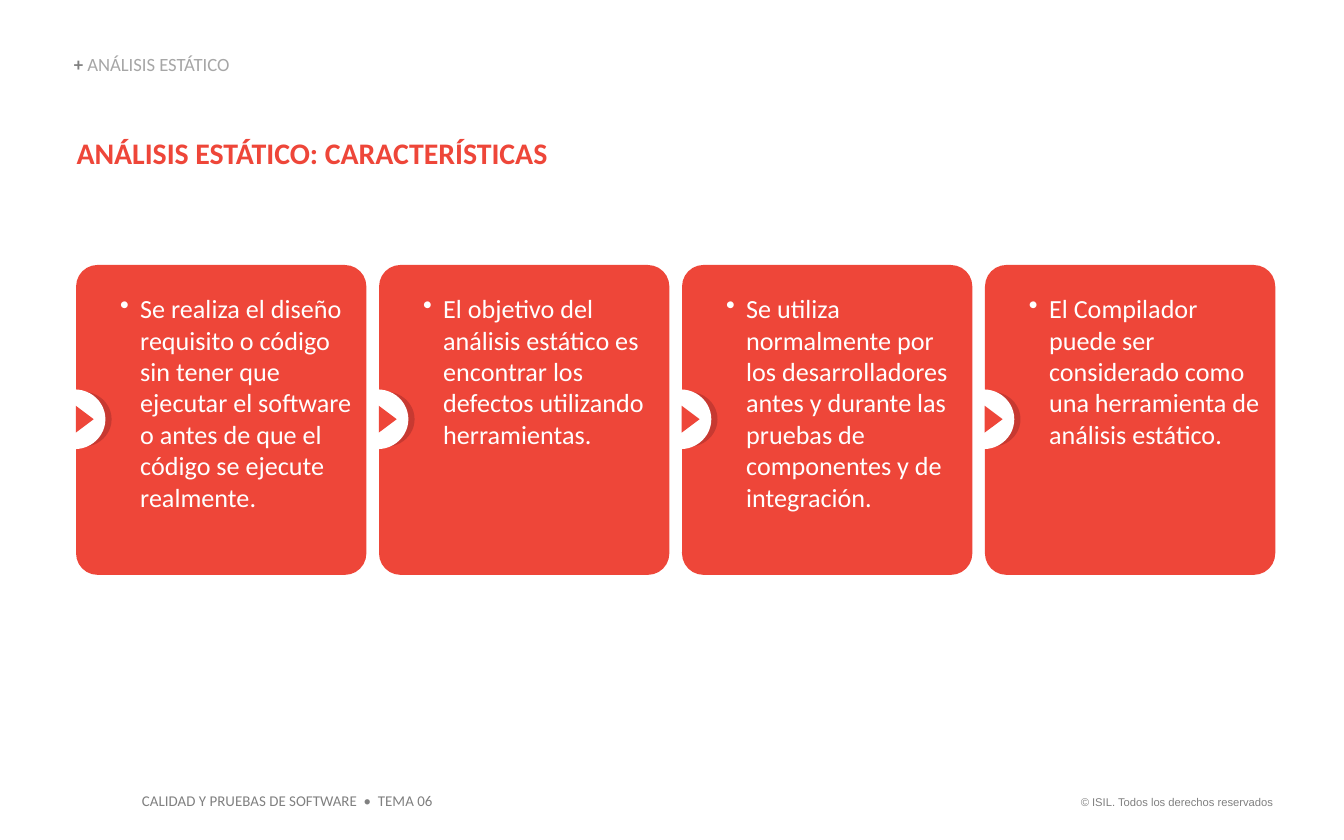
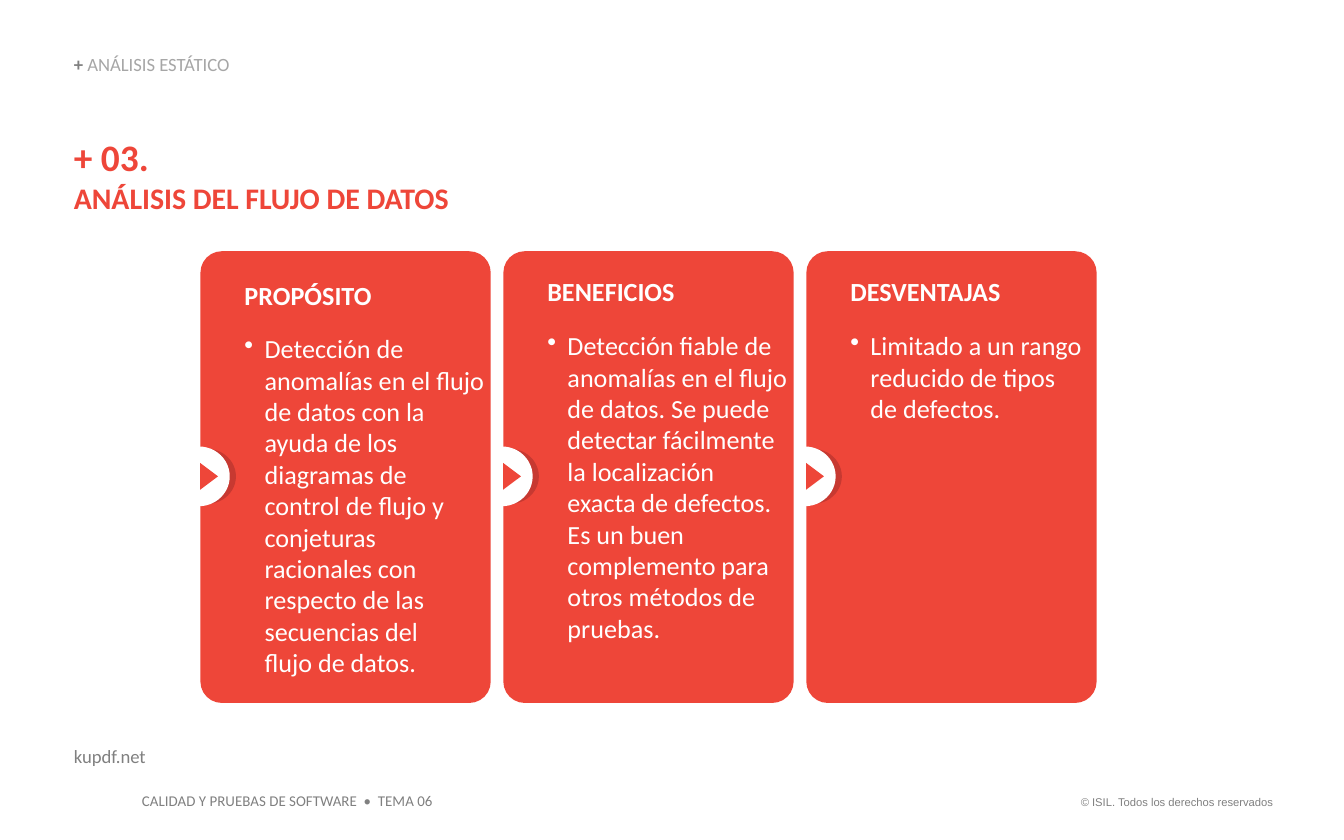
from copy import deepcopy

from lxml.etree import SubElement
from pptx import Presentation
from pptx.dml.color import RGBColor as Rgb
from pptx.enum.shapes import MSO_SHAPE as Kind
from pptx.enum.text import MSO_ANCHOR as Anchor, PP_ALIGN as Align
from pptx.oxml.ns import qn
from pptx.util import Pt

HUES = {"red": "EE4639", "shade": "C73931", "white": "FFFFFF",
        "grey": "808080", "pale": "A6A6A6"}

# Each style is font, size, bold, colour
STYLES = {
    "mark": ("Calibri", 10, True, "grey"),
    "topic": ("Calibri", 10, False, "pale"),
    "number": ("Calibri", 20, True, "red"),
    "title": ("Calibri", 16, True, "red"),
    "label": ("Calibri", 14, True, "white"),
    "body": ("Calibri", 14, False, "white"),
    "source": ("Calibri", 10, False, "grey"),
    "course": ("Calibri", 8, False, "grey"),
    "rights": ("Arial", 6, False, "grey"),
}

CARD_W, STEP = 155.5, 162.3
DENT = 10.8

TRAITS = [
    (None, "Se realiza el diseño requisito o código sin tener que ejecutar "
     "el software o antes de que el código se ejecute realmente."),
    (None, "El objetivo del análisis estático es encontrar los defectos "
     "utilizando herramientas."),
    (None, "Se utiliza normalmente por los desarrolladores antes y durante "
     "las pruebas de componentes y de integración."),
    (None, "El Compilador puede ser considerado como una herramienta de "
     "análisis estático."),
]
FLOW = [
    ("PROPÓSITO", "Detección de anomalías en el flujo de datos con la ayuda "
     "de los diagramas de control de flujo y conjeturas racionales con "
     "respecto de las secuencias del \nflujo de datos."),
    ("BENEFICIOS", "Detección fiable de anomalías en el flujo de datos. Se "
     "puede detectar fácilmente la localización exacta de defectos. Es un "
     "buen complemento para otros métodos de pruebas."),
    ("DESVENTAJAS", "Limitado a un rango reducido de tipos \nde defectos."),
]


def assign(item, values):
    for name, value in values.items():
        setattr(item, name, value)


def write(para, text, style):
    """Add text in one style; a newline becomes a line break."""
    face, size, bold, hue = STYLES[style]
    for i, part in enumerate(text.split("\n")):
        if i:
            para.add_line_break()
            para._p[-1].append(deepcopy(run._r.rPr))
        if part or not i:
            run = para.add_run()
            run.text = part
            assign(run.font, {"name": face, "size": Pt(size), "bold": bold})
            run.font.color.rgb = Rgb.from_string(HUES[hue])


def setup(frame, pads, **extra):
    sides = ("left", "top", "right", "bottom")
    assign(frame, {f"margin_{s}": Pt(p) for s, p in zip(sides, pads)})
    assign(frame, {"word_wrap": True, "vertical_anchor": Anchor.TOP, **extra})


def add_text(slide, box, runs, pads=(0, 0, 0, 0), para=None, **extra):
    frame = slide.shapes.add_textbox(*map(Pt, box)).text_frame
    setup(frame, pads, **extra)
    line = frame.paragraphs[0]
    assign(line, para or {})
    for text, style in runs:
        write(line, text, style)


def add_form(slide, kind, box, hue):
    form = slide.shapes.add_shape(kind, *map(Pt, box))
    form.shadow.inherit = False
    form.fill.solid()
    form.fill.fore_color.rgb = Rgb.from_string(HUES[hue])
    form.line.fill.background()
    return form


def add_dot(para):
    """Give the paragraph a white bullet with a hanging indent."""
    props = para._p.get_or_add_pPr()
    props.set("marL", str(Pt(DENT)))
    props.set("indent", str(Pt(-DENT)))
    tint = SubElement(props, qn("a:buClr"))
    SubElement(tint, qn("a:srgbClr")).set("val", HUES["white"])
    SubElement(props, qn("a:buChar")).set("char", "•")


def add_badge(slide, left, mid):
    """Draw the arrow disc on a card's left edge, centred on height mid."""
    parts = [(Kind.OVAL, -12, 31, 29.5, "shade"),
             (Kind.OVAL, -17.3, 33, 32, "white"),
             (Kind.ISOSCELES_TRIANGLE, -2.6, 14.4, 9.6, "red")]
    for kind, shift, wide, high, hue in parts:
        form = add_form(slide, kind,
                        (left + shift, mid - high / 2, wide, high), hue)
    form.rotation = 90


def add_card(slide, box, label, body, tight):
    left, top, _, high = box
    card = add_form(slide, Kind.ROUNDED_RECTANGLE, box, "red")
    card.adjustments[0] = 0.074
    frame = card.text_frame
    setup(frame, (20.2, 11.5, 0, 3.6))
    para = frame.paragraphs[0]
    para.alignment = Align.LEFT
    if label:
        para.space_after = Pt(12)
        if tight:
            para.line_spacing = 0.9
        write(para, label, "label")
        para = frame.add_paragraph()
        para.alignment = Align.LEFT
    add_dot(para)
    write(para, body, "body")
    add_badge(slide, left, top + high / 2 - 0.4)


def add_cards(slide, left, top, high, cards):
    """Lay out a row from right to left, so each card hides the next disc."""
    for i, (label, body) in reversed(list(enumerate(cards))):
        add_card(slide, (left + i * STEP, top, CARD_W, high),
                 label, body, i > 0)


def add_base(deck):
    """Add a slide with its topic line and footers."""
    slide = deck.slides.add_slide(deck.slide_layouts[6])
    pads = (7.2, 3.6, 7.2, 3.6)
    add_text(slide, (567.4, 422.6, 121.7, 14.4),
             [("© ISIL. Todos los derechos reservados", "rights")], pads,
             {"alignment": Align.RIGHT}, word_wrap=False)
    add_text(slide, (69, 420.5, 170.6, 17.3),
             [("CALIDAD Y PRUEBAS DE SOFTWARE  •  TEMA 06", "course")], pads,
             word_wrap=False)
    add_text(slide, (39.6, 29.5, 260, 10.8),
             [("+ ", "mark"), ("ANÁLISIS ESTÁTICO", "topic")],
             para={"line_spacing": 0.9}, vertical_anchor=Anchor.BOTTOM)
    return slide


def add_traits(deck):
    slide = add_base(deck)
    add_text(slide, (41, 72, 638, 25.2),
             [("ANÁLISIS ESTÁTICO: CARACTERÍSTICAS", "title")],
             para={"space_after": Pt(6)})
    add_cards(slide, 40.8, 142, 166, TRAITS)


def add_flow(deck):
    slide = add_base(deck)
    add_text(slide, (39.6, 72, 570, 44),
             [("+ 03.\n", "number"), ("ANÁLISIS DEL FLUJO DE DATOS", "title")],
             para={"space_after": Pt(6)})
    add_text(slide, (39.6, 399, 135.4, 12.2), [("kupdf.net", "source")])
    add_cards(slide, 107.4, 134.6, 242, FLOW)


def main():
    deck = Presentation()
    assign(deck, {"slide_width": Pt(720), "slide_height": Pt(450)})
    add_traits(deck)
    add_flow(deck)
    deck.save("out.pptx")


if __name__ == "__main__":
    main()
